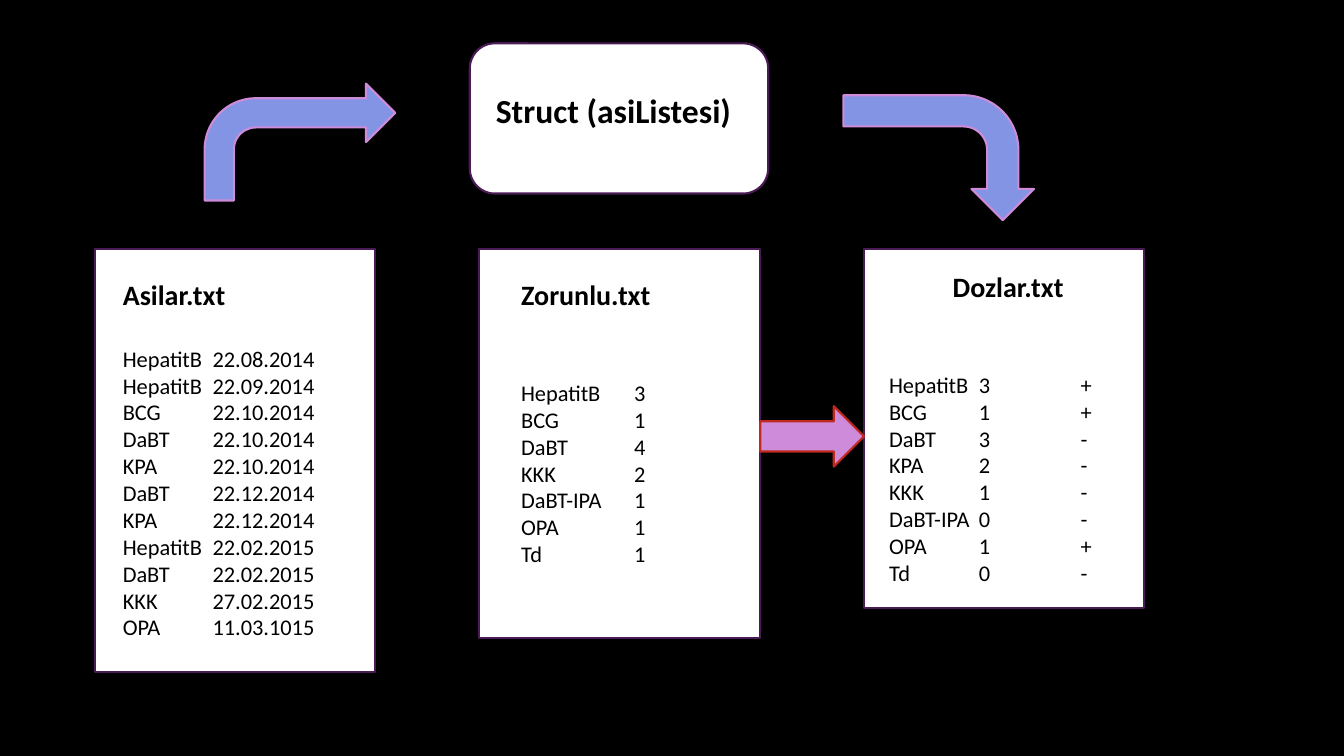
"""Build the vaccine list slide: three text files linked to a struct."""
from lxml import etree
from pptx import Presentation
from pptx.dml.color import RGBColor
from pptx.enum.shapes import MSO_SHAPE
from pptx.enum.text import MSO_AUTO_SIZE
from pptx.oxml.ns import qn
from pptx.util import Inches, Pt

RECTANGLE = MSO_SHAPE.RECTANGLE
ROUNDED = MSO_SHAPE.ROUNDED_RECTANGLE
RIGHT_ARROW = MSO_SHAPE.RIGHT_ARROW
BENT_ARROW = MSO_SHAPE.BENT_ARROW
GROW = MSO_AUTO_SIZE.SHAPE_TO_FIT_TEXT

BLACK = RGBColor(0x00, 0x00, 0x00)
WHITE = RGBColor(0xFF, 0xFF, 0xFF)
PLUM = RGBColor(0x4B, 0x1B, 0x55)
ORCHID = RGBColor(0xCD, 0x8B, 0xDA)
RED = RGBColor(0xC0, 0x2A, 0x1E)
PERIWINKLE = RGBColor(0x83, 0x94, 0xE4)

FONT = "Calibri"
STRUCT_TITLE = "Struct (asiListesi)"
CARD_LEFT, CARD_TOP, CARD_WIDTH, CARD_STEP = 0.94, 2.47, 2.78, 3.815

FILES = [
    {
        "title": "Asilar.txt", "card_height": 4.2, "text_at": (1.12, 2.7, 2.47, 3.74),
        "title_indent": 0, "gap": 24.4, "tabs": [0.89], "outline": WHITE,
        "rows": [
            ("HepatitB", "22.08.2014"), ("HepatitB", "22.09.2014"),
            ("BCG", "22.10.2014"), ("DaBT", "22.10.2014"),
            ("KPA", "22.10.2014"), ("DaBT", "22.12.2014"),
            ("KPA", "22.12.2014"), ("HepatitB", "22.02.2015"),
            ("DaBT", "22.02.2015"), ("KKK", "27.02.2015"),
            ("OPA", "11.03.1015"),
        ],
    },
    {
        "title": "Zorunlu.txt", "card_height": 3.86, "text_at": (5.07, 2.7, 2.31, 3.26),
        "title_indent": 0, "gap": 48.8, "tabs": [1.12], "outline": WHITE,
        "rows": [
            ("HepatitB", "3"), ("BCG", "1"), ("DaBT", "4"), ("KKK", "2"),
            ("DaBT-IPA", "1"), ("OPA", "1"), ("Td", "1"),
        ],
    },
    {
        "title": "Dozlar.txt", "card_height": 3.56, "text_at": (8.72, 2.62, 2.47, 3.26),
        "title_indent": 0.63, "gap": 48.8, "tabs": [0.89, 1.9], "outline": None,
        "rows": [
            ("HepatitB", "3", "+"), ("BCG", "1", "+"), ("DaBT", "3", "-"),
            ("KPA", "2", "-"), ("KKK", "1", "-"), ("DaBT-IPA", "0", "-"),
            ("OPA", "1", "+"), ("Td", "0", "-"),
        ],
    },
]

ARROWS = [
    (RIGHT_ARROW, (7.54, 4.03, 1.03, 0.6), ORCHID, RED, 0),
    (BENT_ARROW, (2.03, 0.83, 1.89, 1.16), PERIWINKLE, ORCHID, 0),
    (BENT_ARROW, (8.69, 0.62, 1.24, 1.89), PERIWINKLE, ORCHID, 90),
]


def add_figure(page, kind, place, fill, line, rotation=0):
    shape = page.shapes.add_shape(kind, *map(Inches, place))
    shape.shadow.inherit = False
    shape.fill.solid()
    shape.fill.fore_color.rgb = fill
    shape.line.color.rgb = line
    shape.line.width = Pt(1.5)
    shape.rotation = rotation


def add_text_box(page, place, outline=None):
    box = page.shapes.add_textbox(*map(Inches, place))
    box.text_frame.word_wrap = True
    box.text_frame.auto_size = GROW
    if outline is not None:
        box.line.color.rgb = outline
        box.line.width = Pt(0.75)
    return box


def write(para, text, size=16, bold=False, indent=0, after=0, tabs=()):
    para.space_after = Pt(after)
    properties = para._p.get_or_add_pPr()
    if indent:
        properties.set("marL", str(Inches(indent)))
    if tabs:
        tab_list = etree.SubElement(properties, qn("a:tabLst"))
        for position in tabs:
            etree.SubElement(tab_list, qn("a:tab"), pos=str(Inches(position)), algn="l")
    span = para.add_run()
    span.text = text
    span.font.name = FONT
    span.font.size = Pt(size)
    span.font.bold = bold
    span.font.color.rgb = BLACK


def add_file(page, index, file):
    card_left = CARD_LEFT + index * CARD_STEP
    card_place = (card_left, CARD_TOP, CARD_WIDTH, file["card_height"])
    add_figure(page, RECTANGLE, card_place, WHITE, PLUM)
    frame = add_text_box(page, file["text_at"], file["outline"]).text_frame
    write(frame.paragraphs[0], file["title"], size=20, bold=True,
          indent=file["title_indent"], after=file["gap"])
    for row in file["rows"]:
        write(frame.add_paragraph(), "\t".join(row), tabs=file["tabs"])


def main():
    deck = Presentation()
    deck.slide_width, deck.slide_height = Inches(13.33), Inches(7.5)
    page = deck.slides.add_slide(deck.slide_layouts[6])
    page.background.fill.solid()
    page.background.fill.fore_color.rgb = BLACK
    for index, file in enumerate(FILES):
        add_file(page, index, file)
    add_figure(page, ROUNDED, (4.66, 0.43, 2.96, 1.49), WHITE, PLUM)
    title_box = add_text_box(page, (4.82, 0.84, 2.64, 0.5), WHITE)
    write(title_box.text_frame.paragraphs[0], STRUCT_TITLE, size=24, bold=True)
    for arrow in ARROWS:
        add_figure(page, *arrow)
    deck.save("out.pptx")


if __name__ == "__main__":
    main()
